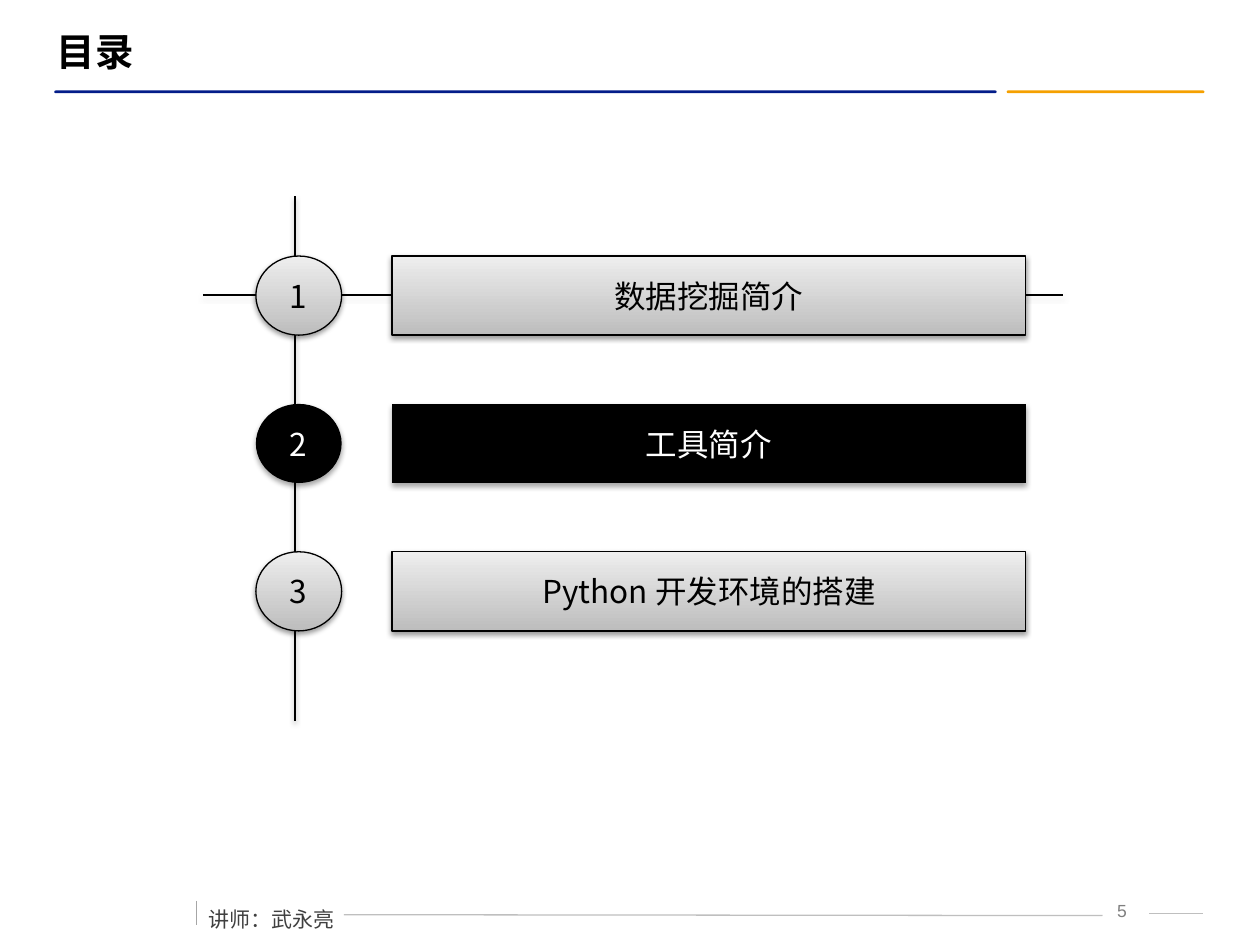
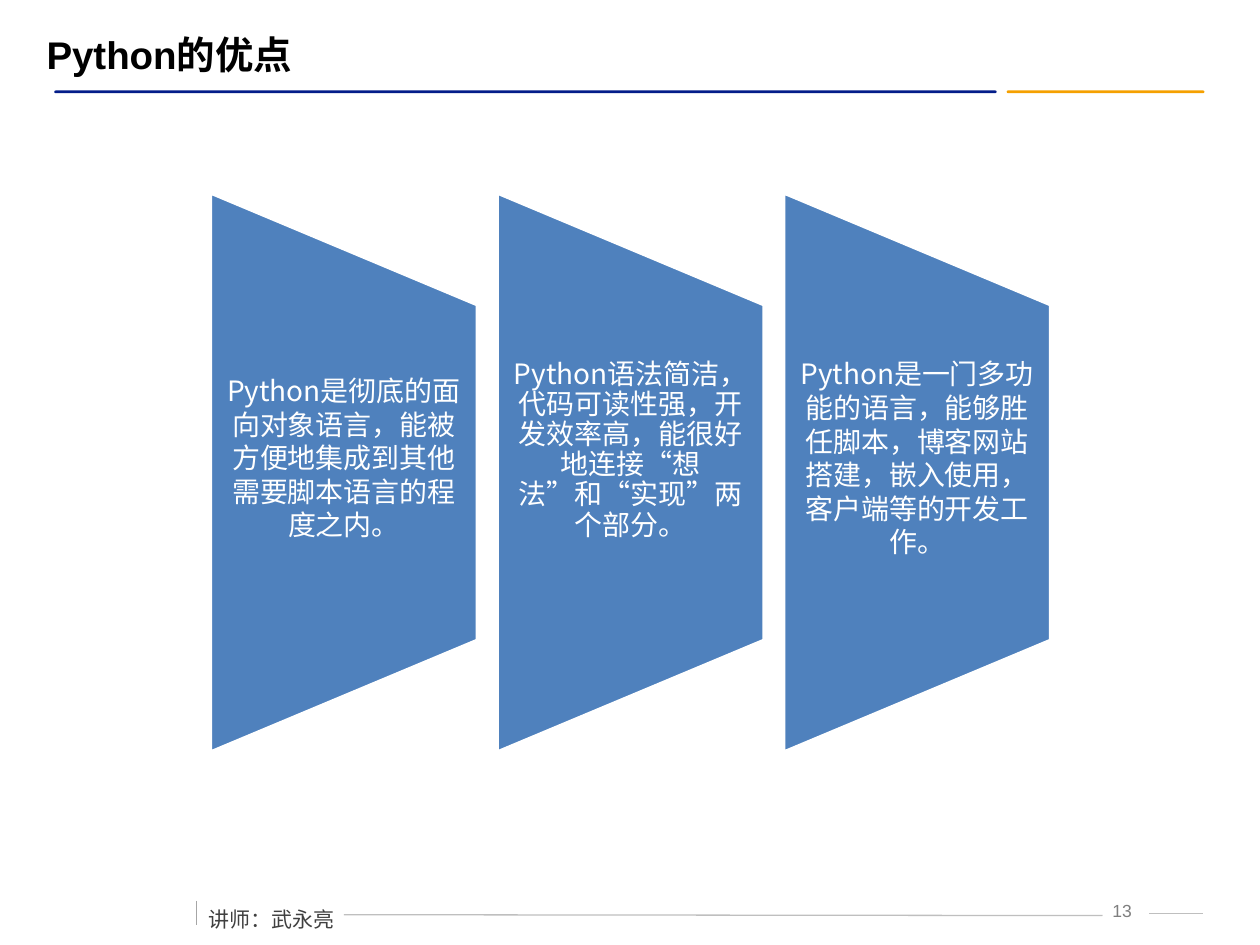
from pptx import Presentation
from pptx.dml.color import RGBColor
from pptx.enum import shapes as es, text as et
from pptx.oxml import parse_xml
from pptx.oxml.ns import nsdecls, qn
from pptx.util import Pt
from lxml import etree

TOPICS = ["数据挖掘简介", "工具简介", "Python 开发环境的搭建"]
ACTIVE = 1
MERITS = [
    ("Python是彻底的面向对象语言，能被方便地集成到其他需要脚本语言的程度之内。", 1, 17),
    ("Python语法简洁，代码可读性强，开发效率高，能很好地连接“想法”和“实现”两个部分。", 0.9, 25),
    ("Python是一门多功能的语言，能够胜任脚本，博客网站搭建，嵌入使用，客户端等的开发工作。", 1, 17),
]
TEACHER = "讲师：武永亮"

BLACK = RGBColor(0, 0, 0)
WHITE = RGBColor(255, 255, 255)
NAVY = RGBColor(0x03, 0x1D, 0x89)
AMBER = RGBColor(0xF5, 0xA0, 0x00)
BLUE = RGBColor(0x4F, 0x81, 0xBD)
DARK = RGBColor(0x40, 0x40, 0x40)
GRAY = RGBColor(0x7F, 0x7F, 0x7F)
TICK = RGBColor(0xA6, 0xA6, 0xA6)
RULE = RGBColor(0xBF, 0xBF, 0xBF)
LOW = RGBColor(0xBD, 0xBD, 0xBD)
HIGH = RGBColor(0xEE, 0xEE, 0xEE)
LATIN = "Arial"
HAN = "Noto Sans CJK SC"
KIND = es.MSO_SHAPE
ALIGN = et.PP_ALIGN


def write(item, words, size=18, color=BLACK, font=HAN, bold=False,
          align=ALIGN.CENTER, anchor=et.MSO_ANCHOR.MIDDLE, wrap=True,
          space=None, before=None, inset=None):
    frame = item.text_frame
    frame.word_wrap = wrap
    frame.vertical_anchor = anchor
    if inset:
        (frame.margin_left, frame.margin_top,
         frame.margin_right, frame.margin_bottom) = map(Pt, inset)
    para = frame.paragraphs[0]
    para.alignment = align
    para.line_spacing = space
    if before is not None:
        para.space_before = Pt(before)
    run = para.add_run()
    run.text = words
    run.font.name, run.font.size, run.font.bold = font, Pt(size), bold
    run.font.color.rgb = color
    props = run.font._element
    props.set("lang", "zh-CN")
    east = etree.Element(qn("a:ea"), typeface=HAN)
    props.find(qn("a:latin")).addnext(east)


def shade(item, alpha=None, dist=1.6):
    drop = ""
    if alpha:
        drop = (f'<a:outerShdw blurRad="{Pt(3.1)}" dist="{Pt(dist)}" dir="5400000" '
                f'rotWithShape="0"><a:srgbClr val="000000">'
                f'<a:alpha val="{alpha * 1000}"/></a:srgbClr></a:outerShdw>')
    item._element.spPr.append(
        parse_xml(f'<a:effectLst {nsdecls("a")}>{drop}</a:effectLst>'))


def draw(slide, kind, box, fill=None, line=None, width=0.75, alpha=None, dist=1.6):
    item = slide.shapes.add_shape(kind, *map(Pt, box))
    if fill is None:
        item.fill.gradient()
        item.fill.gradient_angle = 90
        for stop, color in zip(item.fill.gradient_stops, (LOW, HIGH)):
            stop.color.rgb = color
    else:
        item.fill.solid()
        item.fill.fore_color.rgb = fill
    if line is None:
        item.line.fill.background()
    else:
        item.line.color.rgb = line
        item.line.width = Pt(width)
    shade(item, alpha, dist)
    return item


def rule(slide, ends, color, alpha=None):
    item = slide.shapes.add_connector(es.MSO_CONNECTOR.STRAIGHT, *map(Pt, ends))
    item.line.color.rgb = color
    item.line.width = Pt(0.75)
    shade(item, alpha)


def label(slide, box, words, **form):
    item = slide.shapes.add_textbox(*map(Pt, box))
    write(item, words, **form)
    return item


def start(deck, title, box, number):
    slide = deck.slides.add_slide(deck.slide_layouts[5])
    head = slide.shapes.title
    head.left, head.top, head.width, head.height = map(Pt, box)
    write(head, title, size=22, font=LATIN, bold=True, align=ALIGN.LEFT)
    for left, width, color in ((575.3, 113, AMBER), (31, 538.5, NAVY)):
        bar = draw(slide, KIND.ROUNDED_RECTANGLE, (left, 51.7, width, 1.5), color)
        bar.adjustments[0] = 0.5
    top = et.MSO_ANCHOR.TOP
    label(slide, (624.2, 510.5, 34, 18), str(number), size=10, color=GRAY,
          font=LATIN, anchor=top)
    rule(slide, (196.5, 522.7, 630, 523.2), RULE)
    rule(slide, (656.6, 522, 687.6, 522), RULE)
    rule(slide, (112.3, 514.8, 112.3, 528.5), TICK)
    foot = label(slide, (112.3, 507, 87, 26), TEACHER, size=12, color=DARK,
                 align=ALIGN.LEFT, anchor=top, wrap=False, space=1.5, before=6)
    foot.text_frame.auto_size = et.MSO_AUTO_SIZE.SHAPE_TO_FIT_TEXT
    return slide


def agenda(deck):
    slide = start(deck, "目录", (25.2, 12.2, 641, 34), 5)
    rule(slide, (168.5, 112.3, 168.5, 411.8), BLACK, 38)
    rule(slide, (115.9, 168.5, 607.7, 168.5), BLACK, 38)
    for row, topic in enumerate(TOPICS):
        top = 146.3 + 84.5 * row
        if row == ACTIVE:
            look, ink = dict(fill=BLACK, alpha=35, dist=1.8), WHITE
        else:
            look, ink = dict(line=BLACK, alpha=38), BLACK
        for kind, left, width, words in (
                (KIND.ACTION_BUTTON_CUSTOM, 224, 362.2, topic),
                (KIND.OVAL, 146.2, 49, str(row + 1))):
            item = draw(slide, kind, (left, top, width, 45.2), **look)
            write(item, words, color=ink, wrap=False)


def merits(deck):
    slide = start(deck, "Python的优点", (19.4, 13.7, 666, 34), 13)
    wide, high, step, mid = 152.6, 319.7, 163.8, 270
    for col, (words, space, base) in enumerate(MERITS):
        left = 120.2 + step * col
        panel = draw(slide, KIND.FLOWCHART_MANUAL_OPERATION,
                     (left + (wide - high) / 2, mid - wide / 2, high, wide),
                     BLUE, WHITE, 2)
        panel.rotation = 270
        label(slide, (left, mid - 96, wide, 192), words, size=16, color=WHITE,
              space=space, inset=(8, 0, 8, base))


def main():
    deck = Presentation()
    deck.slide_width, deck.slide_height = Pt(720), Pt(540)
    agenda(deck)
    merits(deck)
    deck.save("out.pptx")


if __name__ == "__main__":
    main()
